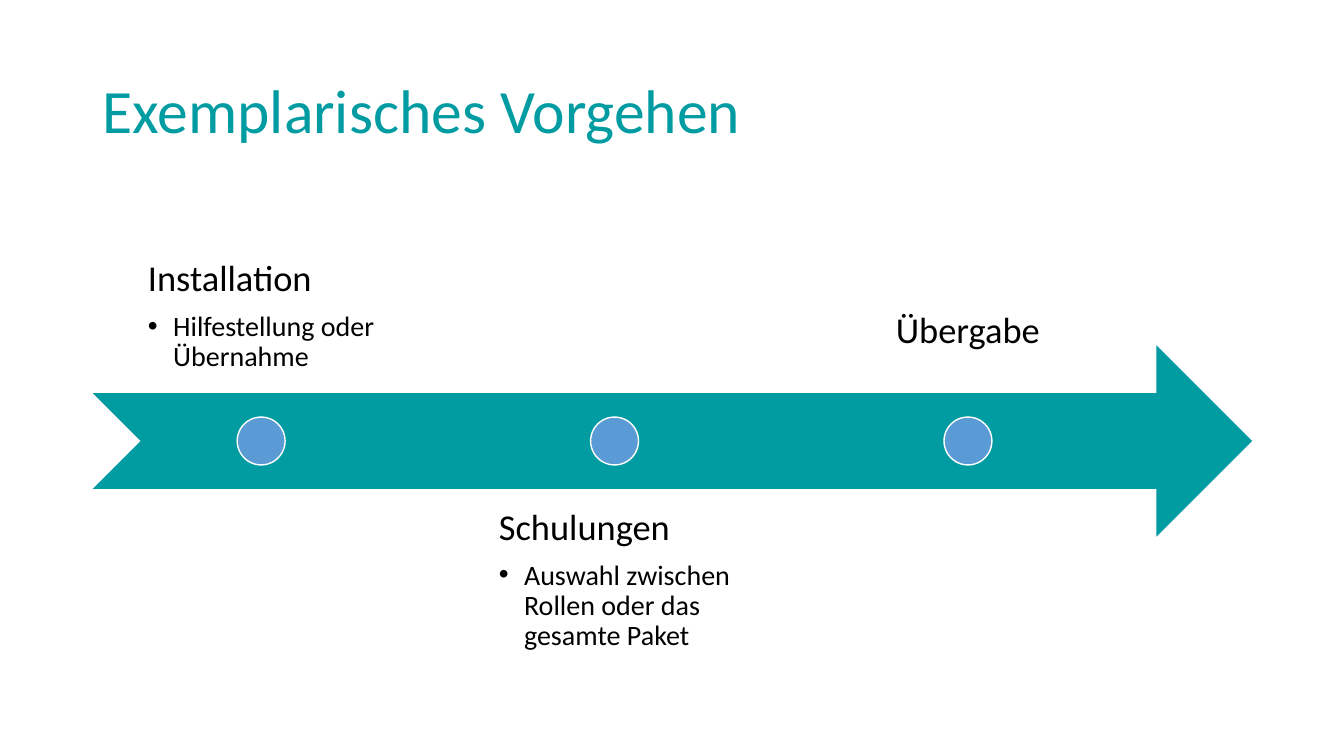
"""Build a slide with a three-step process along a notched arrow."""
from dataclasses import dataclass

from lxml.etree import SubElement
from pptx import Presentation
from pptx.dml.color import RGBColor
from pptx.enum.shapes import MSO_SHAPE as Shape
from pptx.enum.text import MSO_ANCHOR as Anchor
from pptx.oxml.ns import qn
from pptx.util import Inches, Pt

TITLE = "Exemplarisches Vorgehen"
STEPS = [
    ("Installation", "Hilfestellung oder Übernahme"),
    ("Schulungen", "Auswahl zwischen Rollen oder das gesamte Paket"),
    ("Übergabe", None),
]


@dataclass(frozen=True)
class Theme:
    font: str = "Calibri"
    teal: str = "009CA2"
    blue: str = "5B9BD5"
    white: str = "FFFFFF"
    black: str = "000000"
    title_size: int = 44
    step_size: int = 26
    detail_size: int = 20


THEME = Theme()
WIDTH, HEIGHT = 13.33, 7.5
LEFT, CONTENT_WIDTH = 0.92, 11.5
TITLE_TOP, TITLE_HEIGHT = 0.4, 1.45
BAND_TOP, BAND = 2, 1.9
ARROW_TOP = BAND_TOP + 0.75 * BAND
COLUMN, PITCH = 3.34, 3.505
DOT = BAND / 4
INSET = 0.2
DETAIL_LINE = 0.43
INDENT = 0.25


def inches(*lengths):
    return [Inches(length) for length in lengths]


def add_text(page, place, lines, anchor=Anchor.MIDDLE, inset=None, lift=0, centred=False):
    """Add a text box; each line is a dict of text and format."""
    box = page.shapes.add_textbox(*inches(*place))
    frame = box.text_frame
    frame.word_wrap = True
    frame.vertical_anchor = anchor
    if inset is not None:
        frame.margin_left = frame.margin_right = frame.margin_top = Inches(inset)
        frame.margin_bottom = Inches(inset + lift)
    if centred:
        frame._txBody.bodyPr.set("anchorCtr", "1")
    for number, line in enumerate(lines):
        para = frame.add_paragraph() if number else frame.paragraphs[0]
        para.line_spacing = 0.9
        para.space_after = Pt(line.get("after", 0))
        if line.get("bullet"):
            props = para._p.get_or_add_pPr()
            props.set("marL", str(Inches(INDENT)))
            props.set("indent", str(-Inches(INDENT)))
            SubElement(props, qn("a:buFont"), typeface="Arial")
            SubElement(props, qn("a:buChar"), char="•")
        span = para.add_run()
        span.text = line["text"]
        span.font.name = THEME.font
        span.font.size = Pt(line["size"])
        span.font.color.rgb = RGBColor.from_string(line.get("color", THEME.black))


def add_figure(page, kind, place, fill, line=None):
    figure = page.shapes.add_shape(kind, *inches(*place))
    figure.shadow.inherit = False
    figure.fill.solid()
    figure.fill.fore_color.rgb = RGBColor.from_string(fill)
    if line:
        figure.line.color.rgb = RGBColor.from_string(line)
        figure.line.width = Pt(1)
    else:
        figure.line.fill.background()


def add_step(page, number, name, detail):
    left = LEFT + number * PITCH
    above = number % 2 == 0
    top = BAND_TOP if above else BAND_TOP + 1.5 * BAND
    lines = [dict(text=name, size=THEME.step_size, after=9)]
    if detail:
        lines.append(dict(text=detail, size=THEME.detail_size, after=3, bullet=True))
    add_text(page, (left, top, COLUMN, BAND), lines,
             anchor=Anchor.BOTTOM if above else Anchor.TOP,
             inset=INSET, lift=0 if detail else DETAIL_LINE, centred=True)
    dot_left = left + (COLUMN - DOT) / 2
    dot_top = ARROW_TOP + (BAND - DOT) / 2
    add_figure(page, Shape.OVAL, (dot_left, dot_top, DOT, DOT), THEME.blue, THEME.white)


def main():
    deck = Presentation()
    deck.slide_width, deck.slide_height = inches(WIDTH, HEIGHT)
    page = deck.slides.add_slide(deck.slide_layouts[6])
    add_text(page, (LEFT, TITLE_TOP, CONTENT_WIDTH, TITLE_HEIGHT),
             [dict(text=TITLE, size=THEME.title_size, color=THEME.teal)])
    add_figure(page, Shape.NOTCHED_RIGHT_ARROW,
               (LEFT, ARROW_TOP, CONTENT_WIDTH, BAND), THEME.teal)
    for number, (name, detail) in enumerate(STEPS):
        add_step(page, number, name, detail)
    deck.save("out.pptx")


if __name__ == "__main__":
    main()
